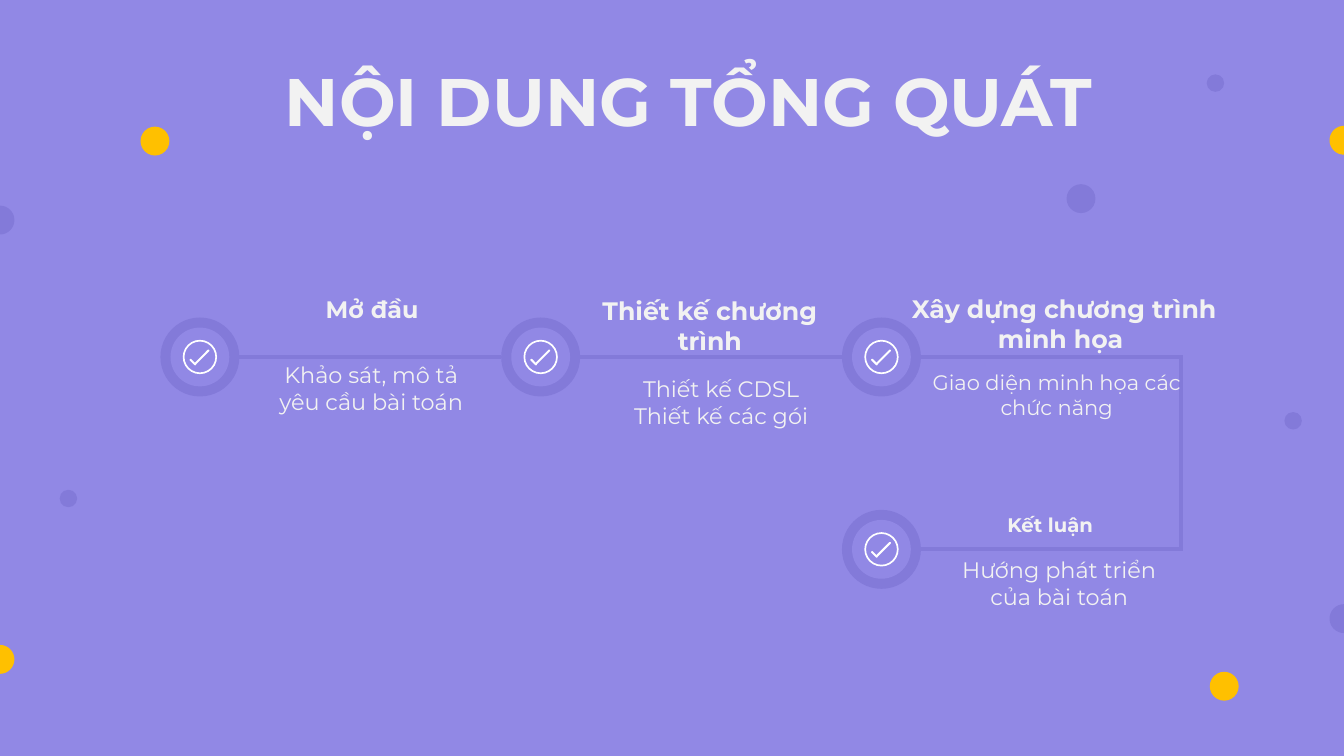
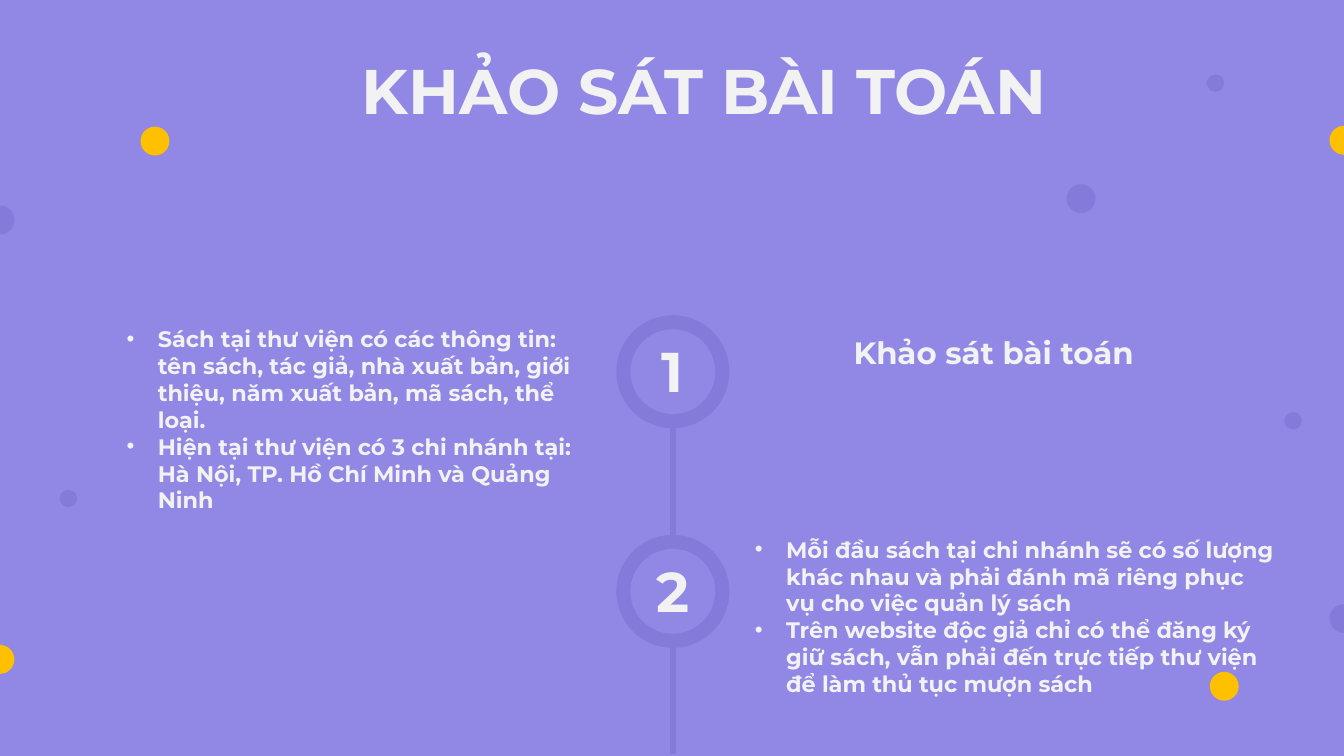
from lxml.etree import SubElement
from pptx import Presentation
from pptx.dml.color import RGBColor
from pptx.enum.shapes import MSO_CONNECTOR as Connector, MSO_SHAPE as Preset
from pptx.enum.text import MSO_AUTO_SIZE as AutoSize, PP_ALIGN as Align
from pptx.oxml.ns import qn
from pptx.util import Emu, Inches, Pt

COLUMNS, ROWS = 160, 90
UNIT = 76200
FONT = "Montserrat"
LILAC, VIOLET, GOLD, WHITE, PALE = "9188E5", "837AD9", "FFC000", "FFFFFF", "F2F2F2"
SMALL_DOT, LARGE_DOT = 2.08, 3.44
ARC_PULL = 0.55
DOTS = [
    (8.15, 59.35, SMALL_DOT, VIOLET),
    (153.95, 50.1, SMALL_DOT, VIOLET),
    (144.7, 9.9, SMALL_DOT, VIOLET),
    (18.45, 16.8, LARGE_DOT, GOLD),
    (145.75, 81.7, LARGE_DOT, GOLD),
    (128.7, 23.65, LARGE_DOT, VIOLET),
]
EDGE_DOTS = [
    (0, 78.5, GOLD),
    (0, 26.2, VIOLET),
    (COLUMNS, 73.65, VIOLET),
    (COLUMNS, 16.7, GOLD),
]


def grid(count):
    return Emu(round(count * UNIT))


def color(value):
    return RGBColor.from_string(value)


class Deck:
    """Keep the deck's style and draw elements on the current slide."""

    def __init__(self):
        self.presentation = Presentation()
        self.presentation.slide_width = grid(COLUMNS)
        self.presentation.slide_height = grid(ROWS)
        self.slide = None

    def new_slide(self):
        self.slide = self.presentation.slides.add_slide(self.presentation.slide_layouts[6])
        background = self.slide.background.fill
        background.solid()
        background.fore_color.rgb = color(LILAC)
        for column, row, diameter, fill in DOTS:
            self.circle(column, row, diameter, fill)
        for column, row, fill in EDGE_DOTS:
            self.half_dot(column, row, fill)

    def paint(self, shape, fill):
        shape.shadow.inherit = False
        shape.fill.solid()
        shape.fill.fore_color.rgb = color(fill)
        shape.line.fill.background()
        return shape

    def centered(self, preset, column, row, width, height, fill, shapes=None):
        shapes = shapes or self.slide.shapes
        shape = shapes.add_shape(
            preset, grid(column - width / 2), grid(row - height / 2), grid(width), grid(height)
        )
        return self.paint(shape, fill)

    def circle(self, column, row, diameter, fill):
        return self.centered(Preset.OVAL, column, row, diameter, diameter, fill)

    def half_dot(self, column, row, fill):
        radius = LARGE_DOT / 2
        tip = column + (radius if column == 0 else -radius)
        builder = self.slide.shapes.build_freeform(grid(column), grid(row - radius))
        corners = [(grid(tip), grid(row)), (grid(column), grid(row + radius))]
        builder.add_line_segments(corners, close=True)
        shape = self.paint(builder.convert_to_shape(), fill)
        self.round_corners(shape)

    def round_corners(self, shape):
        outline = shape._element.spPr.find(".//" + qn("a:path"))
        top, tip, bottom = [
            (int(point.get("x")), int(point.get("y"))) for point in outline.iter(qn("a:pt"))
        ]
        pull_x = round(ARC_PULL * (tip[0] - top[0]))
        pull_y = round(ARC_PULL * (tip[1] - top[1]))
        arcs = [
            [(top[0] + pull_x, top[1]), (tip[0], tip[1] - pull_y), tip],
            [(tip[0], tip[1] + pull_y), (bottom[0] + pull_x, bottom[1]), bottom],
        ]
        for segment, points in zip(outline.findall(qn("a:lnTo")), arcs):
            curve = SubElement(outline, qn("a:cubicBezTo"))
            for x, y in points:
                SubElement(curve, qn("a:pt"), x=str(x), y=str(y))
            outline.replace(segment, curve)

    def ring(self, column, row, outer, inner):
        shape = self.circle(column, row, outer, VIOLET)
        self.circle(column, row, inner, LILAC)
        return shape

    def check_mark(self, column, row):
        shapes = self.slide.shapes.add_group_shape().shapes
        outline = self.centered(Preset.DONUT, column, row, 4.08, 4.08, WHITE, shapes)
        outline.adjustments[0] = 0.05
        for shift, drop, length, angle in [(-0.84, 0.6, 1, 135), (0.24, 0, 2.4, 225)]:
            stroke = self.centered(
                Preset.ROUNDED_RECTANGLE, column + shift, row + drop, 0.24, length, WHITE, shapes
            )
            stroke.adjustments[0] = 0.5
            stroke.rotation = angle

    def line(self, start, end, width):
        connector = self.slide.shapes.add_connector(
            Connector.STRAIGHT, *(grid(count) for count in (*start, *end))
        )
        connector.line.color.rgb = color(VIOLET)
        connector.line.width = Pt(width)
        SubElement(connector._element.spPr, qn("a:effectLst"))
        return connector

    def text(self, box, paragraphs, size, bold=False, bullets=False):
        frame = self.slide.shapes.add_textbox(*(grid(count) for count in box)).text_frame
        frame.word_wrap = True
        frame.auto_size = AutoSize.SHAPE_TO_FIT_TEXT
        for index, words in enumerate(paragraphs):
            paragraph = frame.add_paragraph() if index else frame.paragraphs[0]
            if bullets:
                self.bullet(paragraph)
            else:
                paragraph.alignment = Align.CENTER
            run = paragraph.add_run()
            run.text = words
            run.font.name = FONT
            run.font.size = Pt(size)
            run.font.bold = bold
            run.font.color.rgb = color(PALE)

    def bullet(self, paragraph):
        indent = Inches(0.31)
        properties = paragraph._p.get_or_add_pPr()
        properties.set("marL", str(indent))
        properties.set("indent", str(-indent))
        SubElement(properties, qn("a:buFont"), typeface="Arial")
        SubElement(properties, qn("a:buChar"), char="•")

    def title(self, box, words, size):
        self.text(box, [words], size, bold=True)


def overview(deck):
    deck.new_slide()
    deck.title((25, 6.5, 114, 10.9), "NỘI DUNG TỔNG QUÁT", 48)
    outer, inner = 9.4, 7
    radius = outer / 2
    top_row, bottom_row, bend, overhang = 42.5, 65.4, 140.6, 0.25
    columns = [23.8 + 40.57 * index for index in range(3)]
    stops = [(column, top_row) for column in columns] + [(columns[-1], bottom_row)]
    ends = [column - radius for column in columns[1:]] + [bend + overhang] * 2
    for (column, row), end in zip(stops, ends):
        deck.line((column + radius, row), (end, row), 3)
        deck.ring(column, row, outer, inner)
        deck.check_mark(column, row)
    deck.line((bend, bottom_row), (bend, top_row), 3)

    headings = [
        ((28.9, 34.55, 30.8, 4.7), "Mở đầu", 17),
        ((66.9, 34.55, 35.2, 8.5), "Thiết kế chương trình", 18),
        ((105.1, 34.3, 43.2, 8.5), "Xây dựng chương trình minh họa ", 18),
        ((100.25, 60.5, 50.2, 4.1), "Kết luận ", 14),
    ]
    for box, words, size in headings:
        deck.text(box, [words], size, bold=True)
    details = [
        ((31.4, 42.4, 25.6, 7.7), ["Khảo sát, mô tả yêu cầu bài toán"], 16),
        ((68.85, 44.1, 34, 10.9), ["Thiết kế CDSL", "Thiết kế các gói"], 16),
        ((109.65, 43.4, 32.3, 7.3), ["Giao diện minh họa các chức năng"], 15),
        ((111.6, 65.6, 29, 7.7), ["Hướng phát triển của bài toán"], 16),
    ]
    for box, paragraphs, size in details:
        deck.text(box, paragraphs, size)


def survey(deck):
    deck.new_slide()
    deck.title((40.25, 5.5, 87.1, 10.3), "KHẢO SÁT BÀI TOÁN", 45)
    column, first_row, pitch = 80.1, 44.25, 26.15
    outer, inner = 13.45, 10.1
    rows = [first_row + pitch * index for index in range(2)]
    rings = [deck.ring(column, row, outer, inner) for row in rows]
    for index, row in enumerate(rows):
        start = row + outer / 2
        connector = deck.line((column, start), (column, start + pitch - outer), 4.5)
        if index + 1 < len(rings):
            connector.end_connect(rings[index + 1], 0)
        deck.text((column - 3.7, row - 4.75, 7.4, 9.2), [str(index + 1)], 40, bold=True)

    deck.text((95.7, 39.1, 46.2, 5.6), ["Khảo sát bài toán "], 22, bold=True)
    notes = [
        ((13.9, 38.15, 58, 20.6), [
            "Sách tại thư viện có các thông tin: tên sách, tác giả, nhà xuất bản, "
            "giới thiệu, năm xuất bản, mã sách, thể loại.",
            "Hiện tại thư viện có 3 chi nhánh tại: Hà Nội, TP. Hồ Chí Minh và Quảng Ninh",
        ]),
        ((88.7, 63.2, 64.3, 20.4), [
            "Mỗi đầu sách tại chi nhánh sẽ có số lượng khác nhau và phải đánh mã riêng "
            "phục vụ cho việc quản lý sách",
            "Trên website độc giả chỉ có thể đăng ký giữ sách, vẫn phải đến trực tiếp "
            "thư viện để làm thủ tục mượn sách",
        ]),
    ]
    for box, paragraphs in notes:
        deck.text(box, paragraphs, 16, bold=True, bullets=True)


def main():
    deck = Deck()
    overview(deck)
    survey(deck)
    deck.presentation.save("out.pptx")


if __name__ == "__main__":
    main()
